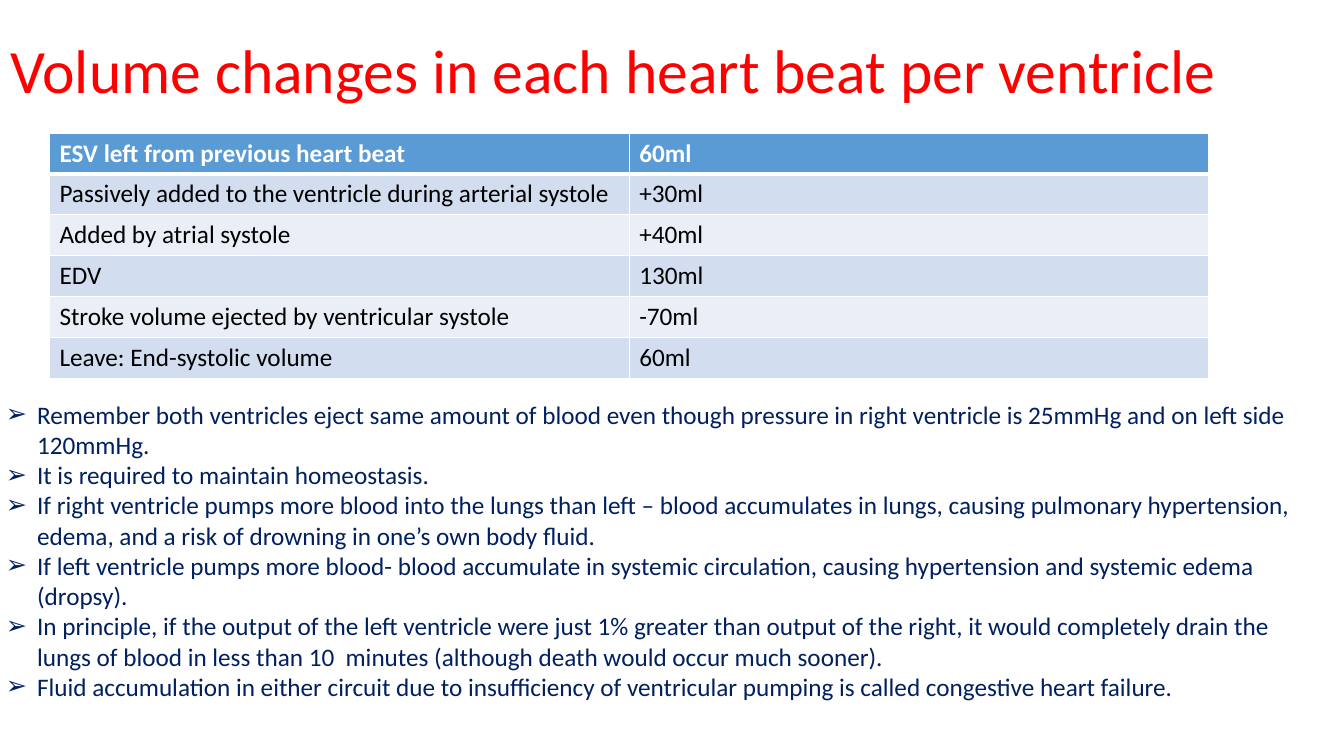
import pptx
import pptx.dml.color
import pptx.enum.text
import pptx.oxml
import pptx.oxml.ns
import pptx.util

Inches, Pt = pptx.util.Inches, pptx.util.Pt
PP = pptx.enum.text
FONT = "Calibri"
NS = pptx.oxml.ns.nsdecls("a")


def rgb(color):
    return pptx.dml.color.RGBColor.from_string(color)


def write(p, text, size=18, color="000000", bold=False):
    r = p.add_run()
    r.text = text
    r.font.name, r.font.size, r.font.bold = FONT, Pt(size), bold
    r.font.color.rgb = rgb(color)


prs = pptx.Presentation()
prs.slide_width, prs.slide_height = Inches(13.33), Inches(7.5)
s = prs.slides.add_slide(prs.slide_layouts[5])

# Title
title = s.shapes.title
title.left, title.top, title.width, title.height = 0, 0, Inches(13.18), Inches(1.45)
tf = title.text_frame
tf.word_wrap = True
tf.auto_size = PP.MSO_AUTO_SIZE.NONE
tf.vertical_anchor = PP.MSO_ANCHOR.MIDDLE
p = tf.paragraphs[0]
p.alignment = PP.PP_ALIGN.LEFT
p.line_spacing = 0.9
write(p, "Volume changes in each heart beat per ventricle", size=44, color="FF0000")

# Table of volumes
volumes = [
    ("ESV left from previous heart beat", "60ml"),
    ("Passively added to the ventricle during arterial systole", "+30ml"),
    ("Added by atrial systole", "+40ml"),
    ("EDV", "130ml"),
    ("Stroke volume ejected by ventricular systole", "-70ml"),
    ("Leave: End-systolic volume", "60ml"),
]
table = s.shapes.add_table(len(volumes), 2, Inches(0.49), Inches(1.32),
                           Inches(11.5), Inches(2.43)).table
for i, row in enumerate(volumes):
    header = i == 0
    fill = "5B9BD5" if header else ("EAEFF7", "D2DEEF")[i % 2]
    for j, text in enumerate(row):
        cell = table.cell(i, j)
        tcPr = cell._tc.get_or_add_tcPr()
        for side in "LRTB":
            thick = (header and side == "B") or (i == 1 and side == "T")
            tcPr.append(pptx.oxml.parse_xml(
                f'<a:ln{side} {NS} w="{Pt(3 if thick else 1)}"><a:solidFill>'
                f'<a:srgbClr val="FFFFFF"/></a:solidFill></a:ln{side}>'))
        cell.fill.solid()
        cell.fill.fore_color.rgb = rgb(fill)
        write(cell.text_frame.paragraphs[0], text,
              color="FFFFFF" if header else "000000", bold=header)

# Bulleted remarks
remarks = [
    "Remember both ventricles eject same amount of blood even though pressure in right "
    "ventricle is 25mmHg and on left side 120mmHg.",
    "It is required to maintain homeostasis.",
    "If right ventricle pumps more blood into the lungs than left – blood accumulates in "
    "lungs, causing pulmonary hypertension, edema, and a risk of drowning in one’s own "
    "body fluid.",
    "If left ventricle pumps more blood- blood accumulate in systemic circulation, causing "
    "hypertension and systemic edema (dropsy).",
    "In principle, if the output of the left ventricle were just 1% greater than output of "
    "the right, it would completely drain the lungs of blood in less than 10  minutes "
    "(although death would occur much sooner).",
    "Fluid accumulation in either circuit due to insufficiency of ventricular pumping is "
    "called congestive heart failure.",
]
tf = s.shapes.add_textbox(Inches(-0.04), Inches(3.91), Inches(13.26), Inches(3.74)).text_frame
tf.word_wrap = True
for i, text in enumerate(remarks):
    p = tf.add_paragraph() if i else tf.paragraphs[0]
    pPr = p._p.get_or_add_pPr()
    pPr.set("marL", str(Inches(0.31)))
    pPr.set("indent", str(-Inches(0.31)))
    pPr.append(pptx.oxml.parse_xml(f'<a:buFont {NS} typeface="Wingdings"/>'
                                   .replace("Wingdings", FONT)))
    pPr.append(pptx.oxml.parse_xml(f'<a:buChar {NS} char="➢"/>'))
    write(p, text, color="002060")

prs.save("out.pptx")
